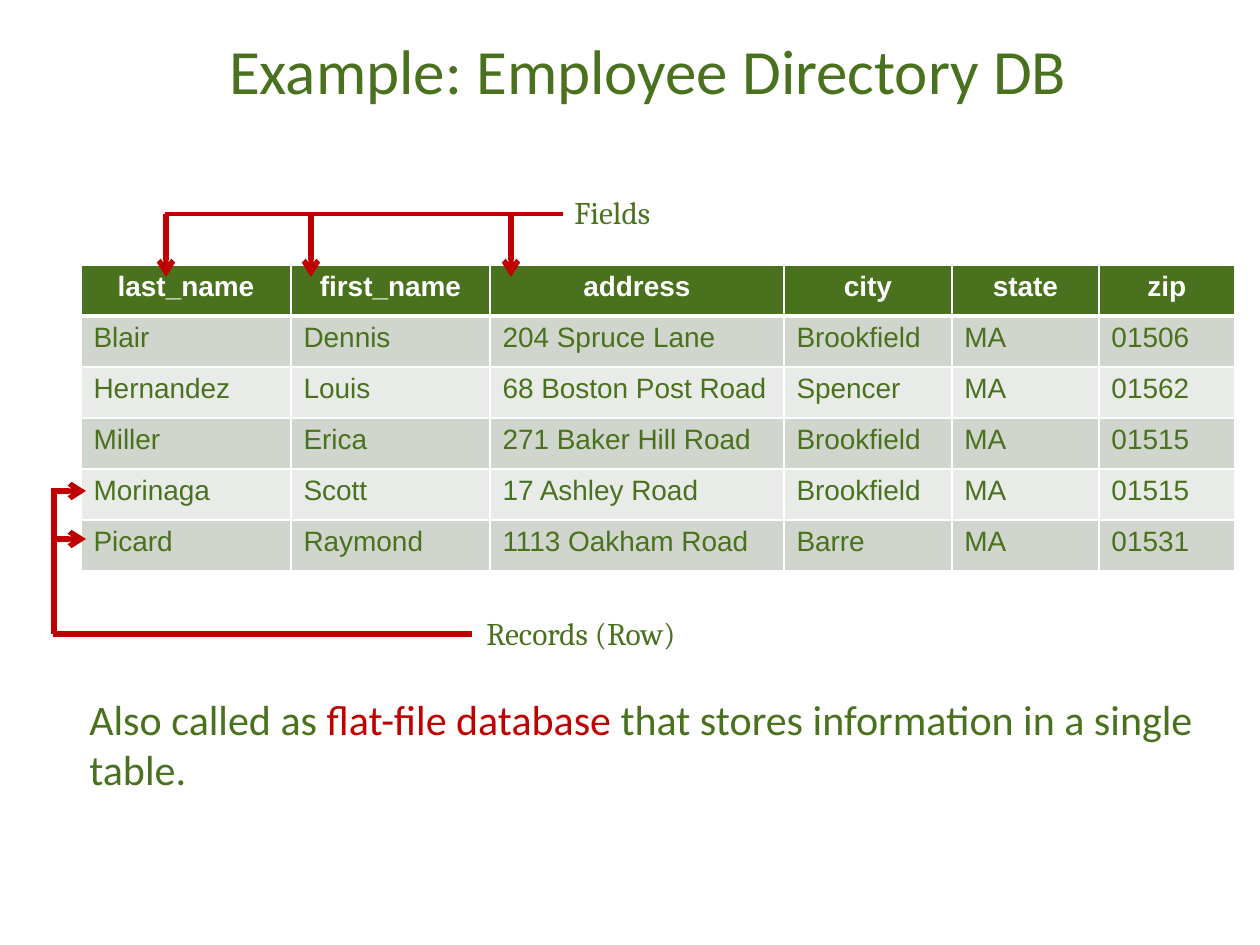
import dataclasses

import lxml.etree
import pptx
import pptx.dml.color
import pptx.enum.shapes
import pptx.enum.text
import pptx.oxml.ns
import pptx.util

RGBColor = pptx.dml.color.RGBColor
Align = pptx.enum.text.PP_ALIGN
Anchor = pptx.enum.text.MSO_ANCHOR

GREEN = RGBColor(0x49, 0x71, 0x1E)
RED = RGBColor(0xC0, 0x00, 0x00)
WHITE = RGBColor(0xFF, 0xFF, 0xFF)
BAND_DARK = RGBColor(0xD0, 0xD5, 0xCD)
BAND_LIGHT = RGBColor(0xE9, 0xEB, 0xE8)

PX_PER_INCH = 126
TABLE_LEFT, TABLE_TOP, ROW_HEIGHT = 81, 265, 51
COLUMN_WIDTHS = (210, 199, 294, 168, 147, 136)
ROWS = (
    ("last_name", "first_name", "address", "city", "state", "zip"),
    ("Blair", "Dennis", "204 Spruce Lane", "Brookfield", "MA", "01506"),
    ("Hernandez", "Louis", "68 Boston Post Road", "Spencer", "MA", "01562"),
    ("Miller", "Erica", "271 Baker Hill Road", "Brookfield", "MA", "01515"),
    ("Morinaga", "Scott", "17 Ashley Road", "Brookfield", "MA", "01515"),
    ("Picard", "Raymond", "1113 Oakham Road", "Barre", "MA", "01531"),
)


@dataclasses.dataclass(frozen=True)
class Label:
    box: tuple[int, int, int, int]
    runs: tuple[tuple[str, RGBColor], ...]
    font: str
    size: int
    align: Align = Align.LEFT
    anchor: Anchor = Anchor.TOP
    wrap: bool = True


@dataclasses.dataclass(frozen=True)
class Line:
    start: tuple[int, int]
    end: tuple[int, int]
    width: float = 3
    arrow: bool = False


LABELS = (
    Label((81, -10, 1134, 158), (("Example: Employee Directory DB", GREEN),),
          "Calibri", 36, align=Align.CENTER, anchor=Anchor.MIDDLE),
    Label((562, 187, 111, 50), (("Fields", GREEN),), "Cambria", 18, wrap=False),
    Label((474, 608, 234, 50), (("Records (Row)", GREEN),), "Cambria", 18, wrap=False),
    Label((77, 687, 1144, 115),
          (("Also called as ", GREEN), ("flat-file database ", RED),
           ("that stores information in a single table.", GREEN)),
          "Calibri", 24),
)
FIELD_LINES = (
    *(Line((x, 214), (x, 277), arrow=True) for x in (511, 311, 166)),
    Line((165, 214), (563, 214), width=2.25),
)
RECORD_LINES = (
    *(Line((54, y), (86, y), arrow=True) for y in (491, 539)),
    Line((54, 488), (54, 634)),
    Line((53, 634), (472, 634)),
)


def px(length: int) -> pptx.util.Emu:
    return pptx.util.Emu(round(length * 914400 / PX_PER_INCH))


def write_text(paragraph, text: str, *, font: str, size: int, color: RGBColor,
               bold: bool = False, align: Align = Align.LEFT) -> None:
    paragraph.alignment = align
    run = paragraph.add_run()
    run.text = text
    run.font.name = font
    run.font.size = pptx.util.Pt(size)
    run.font.bold = bold
    run.font.color.rgb = color


def draw_label(slide, label: Label) -> None:
    shape = slide.shapes.add_textbox(*map(px, label.box))
    frame = shape.text_frame
    frame.word_wrap = label.wrap
    frame.vertical_anchor = label.anchor
    for text, color in label.runs:
        write_text(frame.paragraphs[0], text, font=label.font, size=label.size,
                   color=color, align=label.align)


def add_element(parent, tag: str, **attributes: str):
    return lxml.etree.SubElement(parent, pptx.oxml.ns.qn(tag), attributes)


def draw_lines(slide, lines: tuple[Line, ...]) -> None:
    """Draw the lines as one group."""
    group = slide.shapes.add_group_shape()
    for line in lines:
        connector = group.shapes.add_connector(
            pptx.enum.shapes.MSO_CONNECTOR.STRAIGHT,
            *map(px, line.start + line.end))
        connector.line.color.rgb = RED
        connector.line.width = pptx.util.Pt(line.width)
        if line.arrow:
            add_element(connector.line._get_or_add_ln(), "a:tailEnd", type="arrow")
        add_element(connector._element.spPr, "a:effectLst")


def set_borders(cell, top: int, bottom: int) -> None:
    """Give the cell white borders, one point wide at the sides."""
    properties = cell._tc.get_or_add_tcPr()
    for tag, width in (("a:lnL", 1), ("a:lnR", 1), ("a:lnT", top), ("a:lnB", bottom)):
        border = add_element(properties, tag, w=str(pptx.util.Pt(width)))
        add_element(add_element(border, "a:solidFill"), "a:srgbClr", val=str(WHITE))


def draw_table(slide) -> None:
    table = slide.shapes.add_table(
        len(ROWS), len(COLUMN_WIDTHS), px(TABLE_LEFT), px(TABLE_TOP),
        px(sum(COLUMN_WIDTHS)), px(ROW_HEIGHT * len(ROWS))).table
    for column, width in zip(table.columns, COLUMN_WIDTHS):
        column.width = px(width)
    for row_index, row in enumerate(ROWS):
        header = row_index == 0
        band = BAND_DARK if row_index % 2 else BAND_LIGHT
        for column_index, text in enumerate(row):
            cell = table.cell(row_index, column_index)
            set_borders(cell, top=3 if row_index == 1 else 1, bottom=3 if header else 1)
            cell.fill.solid()
            cell.fill.fore_color.rgb = GREEN if header else band
            write_text(cell.text_frame.paragraphs[0], text, font="Arial", size=16,
                       color=WHITE if header else GREEN, bold=header,
                       align=Align.CENTER if header else Align.LEFT)


def main() -> None:
    presentation = pptx.Presentation()
    presentation.slide_width = px(1260)
    presentation.slide_height = px(945)
    slide = presentation.slides.add_slide(presentation.slide_layouts[6])
    draw_table(slide)
    for lines in (FIELD_LINES, RECORD_LINES):
        draw_lines(slide, lines)
    for label in LABELS:
        draw_label(slide, label)
    presentation.save("out.pptx")


if __name__ == "__main__":
    main()
